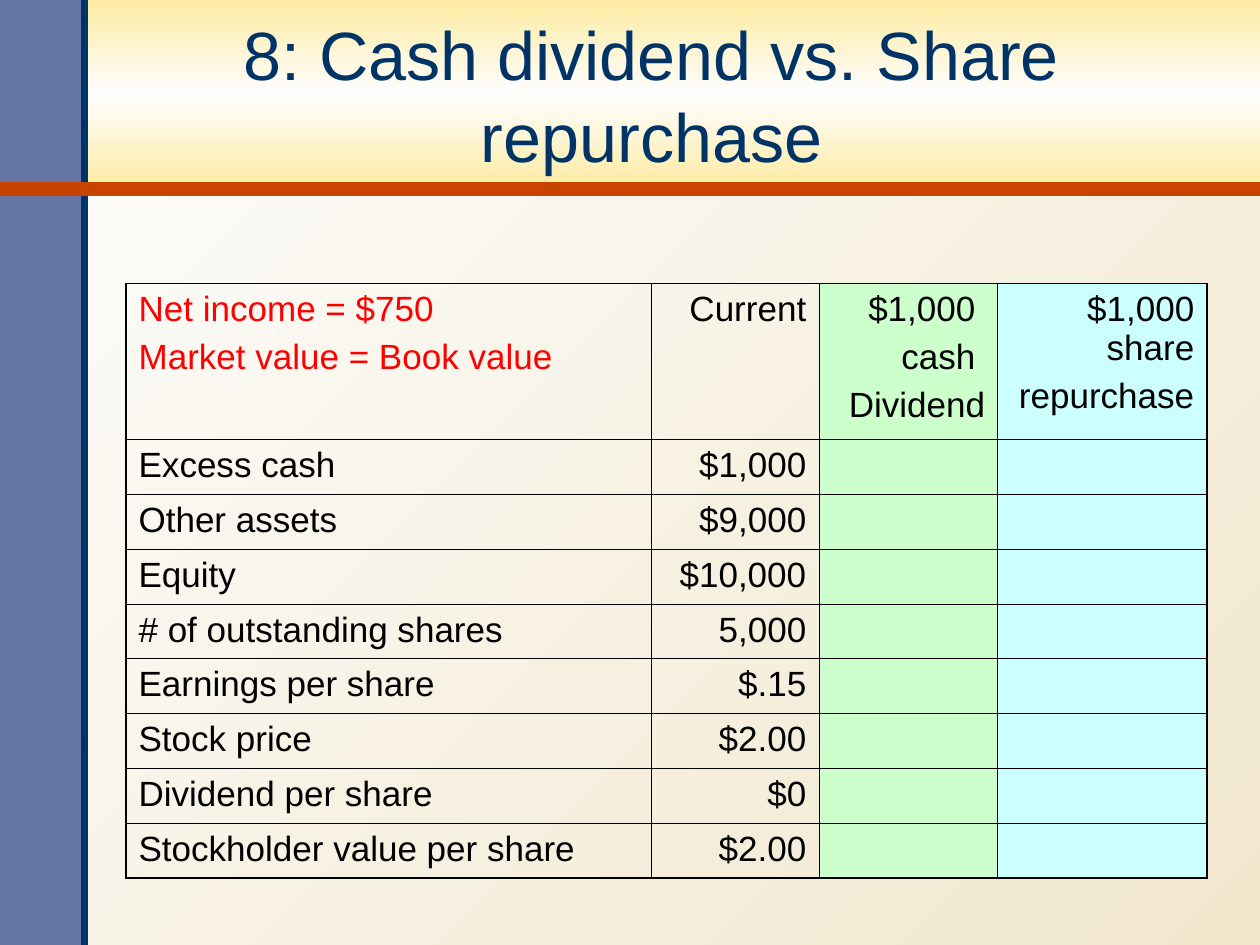
"""Build the cash dividend versus share repurchase slide."""
from copy import deepcopy

from lxml.etree import SubElement
from pptx import Presentation
from pptx.dml.color import RGBColor
from pptx.enum.shapes import MSO_CONNECTOR as CONN, MSO_SHAPE as SHAPE
from pptx.enum.text import MSO_ANCHOR as ANCHOR, PP_ALIGN as ALIGN
from pptx.oxml.ns import qn
from pptx.util import Inches, Pt


def rgb(color):
    return RGBColor.from_string(color)


def write(tf, text, size=20, color="000000", align=ALIGN.LEFT, before=0):
    for i, line in enumerate(text.split("\n")):
        p = tf.add_paragraph() if i else tf.paragraphs[0]
        p.alignment = align
        if i:
            p.space_before = Pt(before)
        r = p.add_run()
        r.text = line
        r.font.name, r.font.size = "Arial", Pt(size)
        r.font.color.rgb = rgb(color)


prs = Presentation()
prs.slide_width, prs.slide_height = Inches(10), Inches(7.5)
s = prs.slides.add_slide(prs.slide_layouts[6])

banner = s.shapes.add_shape(SHAPE.RECTANGLE, 0, 0, Inches(10), Inches(1.5))
sidebar = s.shapes.add_shape(SHAPE.RECTANGLE, 0, 0, Inches(0.67), Inches(7.5))
for sp in (banner, sidebar):
    sp.shadow.inherit = False
    sp.line.fill.background()
sidebar.fill.solid()
sidebar.fill.fore_color.rgb = rgb("6475A6")

for fill, angle, colors in [
    (s.background.fill, 135, ["F1E7CD", "FEFEFE"]),
    (banner.fill, 270, ["FDEBA1", "FEFEFE", "FDEBA1"]),
]:
    fill.gradient()
    fill.gradient_angle = angle
    if fill is banner.fill:
        stops = banner._element.find(".//" + qn("a:gsLst"))
        stops.append(deepcopy(stops[-1]))
    for i, (stop, color) in enumerate(zip(fill.gradient_stops, colors)):
        stop.position = i / (len(colors) - 1)
        stop.color.rgb = rgb(color)

for x1, y1, x2, y2, color, width in [
    (0.67, 7.5, 0.67, 0, "003366", 4),
    (0, 1.5, 10, 1.5, "C84300", 8),
]:
    ln = s.shapes.add_connector(CONN.STRAIGHT, Inches(x1), Inches(y1), Inches(x2), Inches(y2))
    ln.line.color.rgb = rgb(color)
    ln.line.width = Pt(width)
    SubElement(ln._element.spPr, qn("a:effectLst"))

title = s.shapes.add_textbox(Inches(0.65), Inches(0.15), Inches(9.04), Inches(1.2))
tf = title.text_frame
tf.word_wrap = True
tf.vertical_anchor = ANCHOR.MIDDLE
write(tf, "8: Cash dividend vs. Share repurchase", size=39, color="003366", align=ALIGN.CENTER)

rows = [
    ["Net income = $750\nMarket value = Book value", "Current",
     "$1,000 \ncash \nDividend", "$1,000 share\nrepurchase"],
    ["Excess cash", "$1,000"],
    ["Other assets", "$9,000"],
    ["Equity", "$10,000"],
    ["# of outstanding shares", "5,000"],
    ["Earnings per share", "$.15"],
    ["Stock price", "$2.00"],
    ["Dividend per share", "$0"],
    ["Stockholder value per share", "$2.00"],
]
widths = [4.17, 1.33, 1.42, 1.66]
fills = [None, None, "CCFFCC", "CCFFFF"]
last_row, last_col = len(rows) - 1, len(widths) - 1
table = s.shapes.add_table(len(rows), len(widths), Inches(1), Inches(2.25),
                           Inches(sum(widths)), Inches(4.72)).table
table.first_row = table.horz_banding = False
for col, width in zip(table.columns, widths):
    col.width = Inches(width)
for i, row in enumerate(table.rows):
    row.height = Inches(0.435 if i else 1.24)
    for j, cell in enumerate(row.cells):
        outer = {"lnL": j == 0, "lnR": j == last_col, "lnT": i == 0, "lnB": i == last_row}
        tcPr = cell._tc.get_or_add_tcPr()
        for side, edge in outer.items():
            ln = SubElement(tcPr, qn("a:" + side), w=str(Pt(1.08 if edge else 0.45)))
            SubElement(SubElement(ln, qn("a:solidFill")), qn("a:srgbClr"), val="000000")
        if fills[j]:
            cell.fill.solid()
            cell.fill.fore_color.rgb = rgb(fills[j])
        else:
            cell.fill.background()
        if j < len(rows[i]):
            write(cell.text_frame, rows[i][j], color="FF0000" if i == j == 0 else "000000",
                  align=ALIGN.RIGHT if j else ALIGN.LEFT, before=5)

prs.save("out.pptx")
